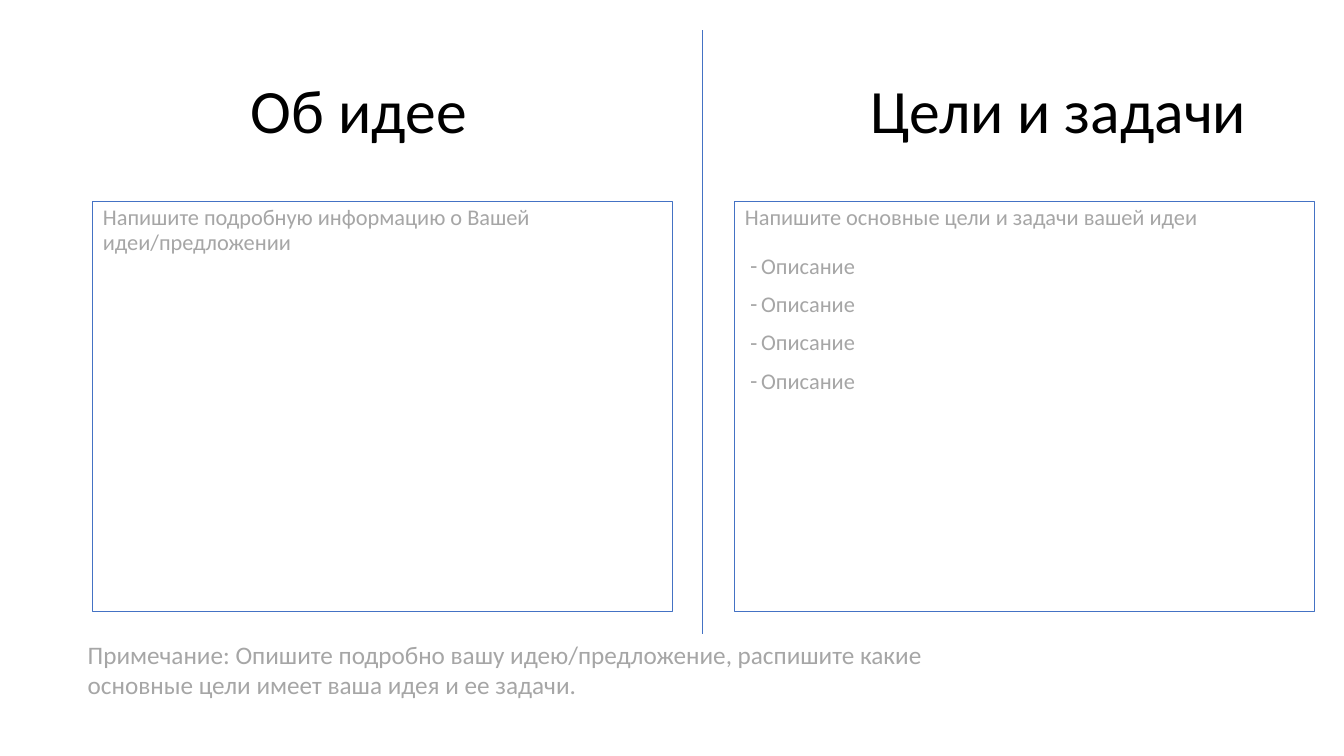
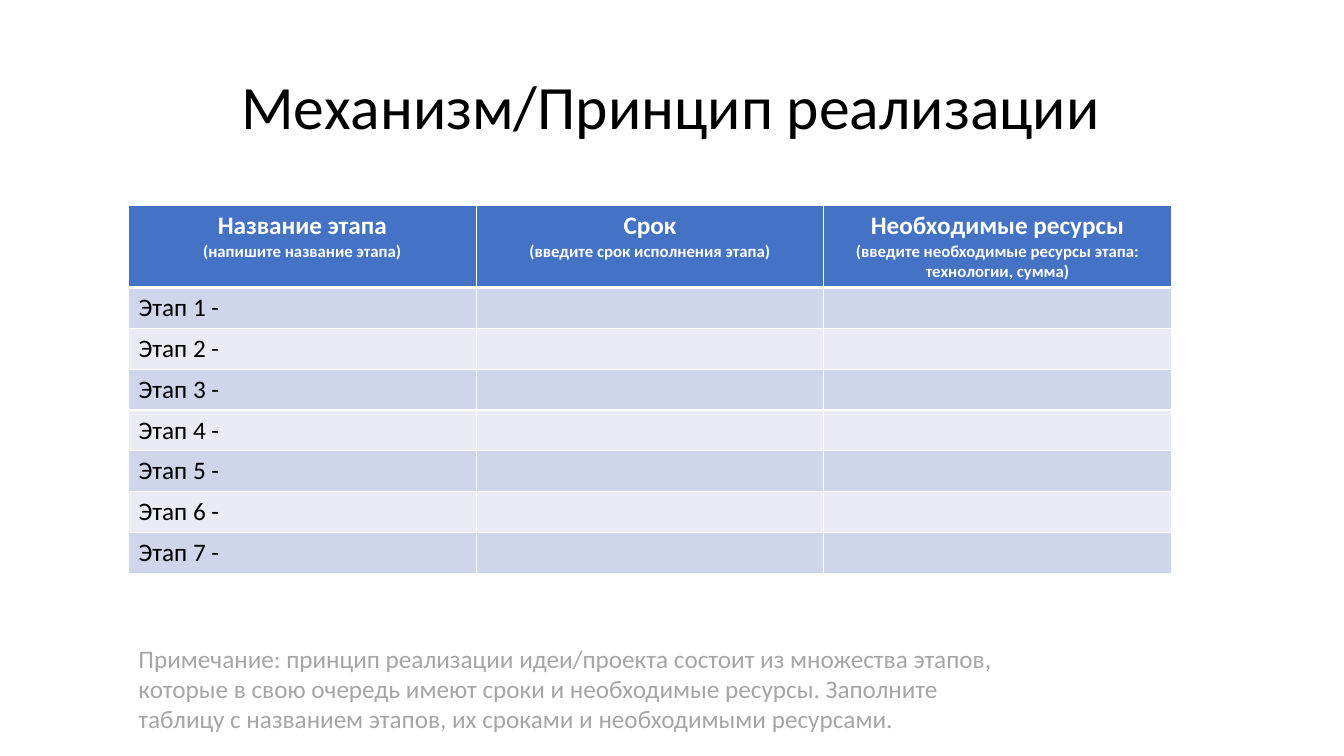
import dataclasses

import lxml.etree
import pptx
import pptx.dml.color
import pptx.enum.shapes
import pptx.enum.text
import pptx.oxml.ns
import pptx.util

Cm = pptx.util.Cm
Pt = pptx.util.Pt
qn = pptx.oxml.ns.qn
ALIGN = pptx.enum.text.PP_ALIGN
ANCHOR = pptx.enum.text.MSO_ANCHOR
AUTO_SIZE = pptx.enum.text.MSO_AUTO_SIZE


@dataclasses.dataclass(frozen=True)
class Theme:
    """Colours, font and type sizes shared by all slides."""
    font: str = "Calibri"
    text: str = "000000"
    accent: str = "4472C4"
    hint: str = "A6A6A6"
    light: str = "FFFFFF"
    bands: tuple = ("CFD5EA", "E9EBF5")
    title_size: int = 44
    body_size: int = 16
    note_size: int = 18
    caption_size: int = 12
    tight: float = 0.9


def rgb(value):
    """Turn a hex string into a colour."""
    return pptx.dml.color.RGBColor.from_string(value)


def apply(target, values):
    """Set every attribute in a dict of format values."""
    for name, value in values.items():
        setattr(target, name, value)


def place(shape, box):
    """Move a shape to left, top, width and height in centimetres."""
    names = ("left", "top", "width", "height")
    apply(shape, dict(zip(names, map(Cm, box))))


class Deck:
    """Holds the presentation, its style and the current slide."""

    def __init__(self, theme):
        """Start an empty wide presentation."""
        self.theme = theme
        self.presentation = pptx.Presentation()
        apply(self.presentation, {"slide_width": Cm(33.87), "slide_height": Cm(19.05)})
        self.slide = None

    def add_slide(self, layout_name):
        """Add a slide with the named layout and make it current."""
        layout = self.presentation.slide_layouts.get_by_name(layout_name)
        self.slide = self.presentation.slides.add_slide(layout)

    def fill_paragraph(self, paragraph, text, size, color, bold=False, **layout):
        """Fill a paragraph with one styled run."""
        run = paragraph.add_run()
        run.text = text
        apply(run.font, {"name": self.theme.font, "size": Pt(size), "bold": bold})
        run.font.color.rgb = rgb(color)
        apply(paragraph, {"alignment": ALIGN.LEFT, **layout})

    def heading(self, shape, text, box):
        """Format a shape as a slide heading."""
        place(shape, box)
        frame = shape.text_frame
        apply(frame, {"word_wrap": True, "auto_size": AUTO_SIZE.NONE,
                      "vertical_anchor": ANCHOR.MIDDLE})
        self.fill_paragraph(frame.paragraphs[0], text, self.theme.title_size,
                            self.theme.text, line_spacing=self.theme.tight)

    def title(self, text, box):
        """Fill the title placeholder."""
        self.heading(self.slide.shapes.title, text, box)

    def side_title(self, text, box):
        """Add a second heading next to the title."""
        self.heading(self.slide.shapes.add_textbox(*map(Cm, box)), text, box)

    def bullet(self, paragraph, character=None):
        """Give a paragraph a hanging bullet, or none."""
        properties = paragraph._p.get_or_add_pPr()
        margin, indent = (Cm(0.41), Cm(-0.28)) if character else (0, 0)
        properties.set("marL", str(margin))
        properties.set("indent", str(indent))
        tag = "a:buChar" if character else "a:buNone"
        element = lxml.etree.SubElement(properties, qn(tag))
        if character:
            element.set("char", character)

    def panel(self, index, box, intro, items=()):
        """Fill a framed body placeholder with an intro and a dashed list."""
        shape = self.slide.placeholders[index]
        place(shape, box)
        shape.line.color.rgb = rgb(self.theme.accent)
        shape.line.width = Pt(0.75)
        frame = shape.text_frame
        apply(frame, {"word_wrap": True, "auto_size": AUTO_SIZE.NONE,
                      "vertical_anchor": ANCHOR.TOP})
        for position, text in enumerate((intro, *items)):
            paragraph = frame.add_paragraph() if position else frame.paragraphs[0]
            gap = (0, 17.5)[position] if position < 2 else 10
            self.fill_paragraph(paragraph, text, self.theme.body_size, self.theme.hint,
                                line_spacing=self.theme.tight, space_before=Pt(gap))
            self.bullet(paragraph, "-" if position else None)

    def divider(self, x, top, bottom):
        """Draw a thin vertical line."""
        line = self.slide.shapes.add_connector(
            pptx.enum.shapes.MSO_CONNECTOR.STRAIGHT, Cm(x), Cm(top), Cm(x), Cm(bottom))
        line.line.color.rgb = rgb(self.theme.accent)
        line.line.width = Pt(0.5)
        lxml.etree.SubElement(line.element.spPr, qn("a:effectLst"))

    def note(self, text, box):
        """Add the grey note under the content."""
        frame = self.slide.shapes.add_textbox(*map(Cm, box)).text_frame
        apply(frame, {"word_wrap": True, "auto_size": AUTO_SIZE.SHAPE_TO_FIT_TEXT})
        self.fill_paragraph(frame.paragraphs[0], text, self.theme.note_size,
                            self.theme.hint)

    def style_cell(self, cell, fill, bottom=1, top=1):
        """Give a cell white borders and a fill."""
        properties = cell._tc.get_or_add_tcPr()
        for side, width in (("L", 1), ("R", 1), ("T", top), ("B", bottom)):
            border = lxml.etree.SubElement(properties, qn("a:ln" + side), w=str(Pt(width)))
            solid = lxml.etree.SubElement(border, qn("a:solidFill"))
            lxml.etree.SubElement(solid, qn("a:srgbClr"), val=self.theme.light)
        cell.fill.solid()
        cell.fill.fore_color.rgb = rgb(fill)

    def table(self, box, headers, stages, header_height, row_height):
        """Add a banded table with captioned headers and named stages."""
        theme = self.theme
        table = self.slide.shapes.add_table(
            len(stages) + 1, len(headers), *map(Cm, box)).table
        for row in table.rows:
            row.height = Cm(row_height)
        table.rows[0].height = Cm(header_height)
        for column, (name, caption) in enumerate(headers):
            table.columns[column].width = Cm(box[2] / len(headers))
            cell = table.cell(0, column)
            self.style_cell(cell, theme.accent, bottom=3)
            frame = cell.text_frame
            self.fill_paragraph(frame.paragraphs[0], name, theme.note_size, theme.light,
                                bold=True, alignment=ALIGN.CENTER)
            self.fill_paragraph(frame.add_paragraph(), caption, theme.caption_size,
                                theme.light, bold=True, alignment=ALIGN.CENTER)
        for number, stage in enumerate(stages, start=1):
            for column in range(len(headers)):
                self.style_cell(table.cell(number, column), theme.bands[(number - 1) % 2],
                                top=3 if number == 1 else 1)
            self.fill_paragraph(table.cell(number, 0).text_frame.paragraphs[0], stage,
                                theme.note_size, theme.text)


def add_idea_slide(deck):
    """Build the slide on the idea and its goals."""
    panel_top, panel_width, panel_height = 5.08, 14.6, 10.32
    deck.add_slide("Two Content")
    deck.title("Об идее", (6.07, 1.02, 7.09, 3.68))
    deck.panel(1, (2.34, panel_top, panel_width, panel_height),
               "Напишите подробную информацию о Вашей идеи/предложении")
    deck.side_title("Цели и задачи", (21.69, 1.02, 10.06, 3.68))
    deck.panel(2, (18.52, panel_top, panel_width, panel_height),
               "Напишите основные цели и задачи вашей идеи", ["Описание"] * 4)
    deck.divider(17.7, 0.76, 15.98)
    deck.note("Примечание: Опишите подробно вашу идею/предложение, распишите какие "
              "основные цели имеет ваша идея и ее задачи.", (1.96, 15.98, 22.43, 1.8))


def add_mechanism_slide(deck):
    """Build the slide with the table of stages."""
    deck.add_slide("Title Only")
    deck.title("Механизм/Принцип реализации", (5.82, 0.91, 22.23, 3.68))
    headers = (
        ("Название этапа", "(напишите название этапа)"),
        ("Срок", "(введите срок исполнения этапа)"),
        ("Необходимые ресурсы", "(введите необходимые ресурсы этапа: технологии, сумма)"),
    )
    stages = [f"Этап {number} -" for number in range(1, 8)]
    deck.table((3.24, 5.18, 26.28, 9.27), headers, stages, 2.06, 1.03)
    deck.note("Примечание: принцип реализации идеи/проекта состоит из множества этапов, "
              "которые в свою очередь имеют сроки и необходимые ресурсы. Заполните "
              "таблицу с названием этапов, их сроками и необходимыми ресурсами.",
              (3.24, 16.08, 22.43, 2.57))


def main():
    """Build and save the presentation."""
    deck = Deck(Theme())
    add_idea_slide(deck)
    add_mechanism_slide(deck)
    deck.presentation.save("out.pptx")


main()
